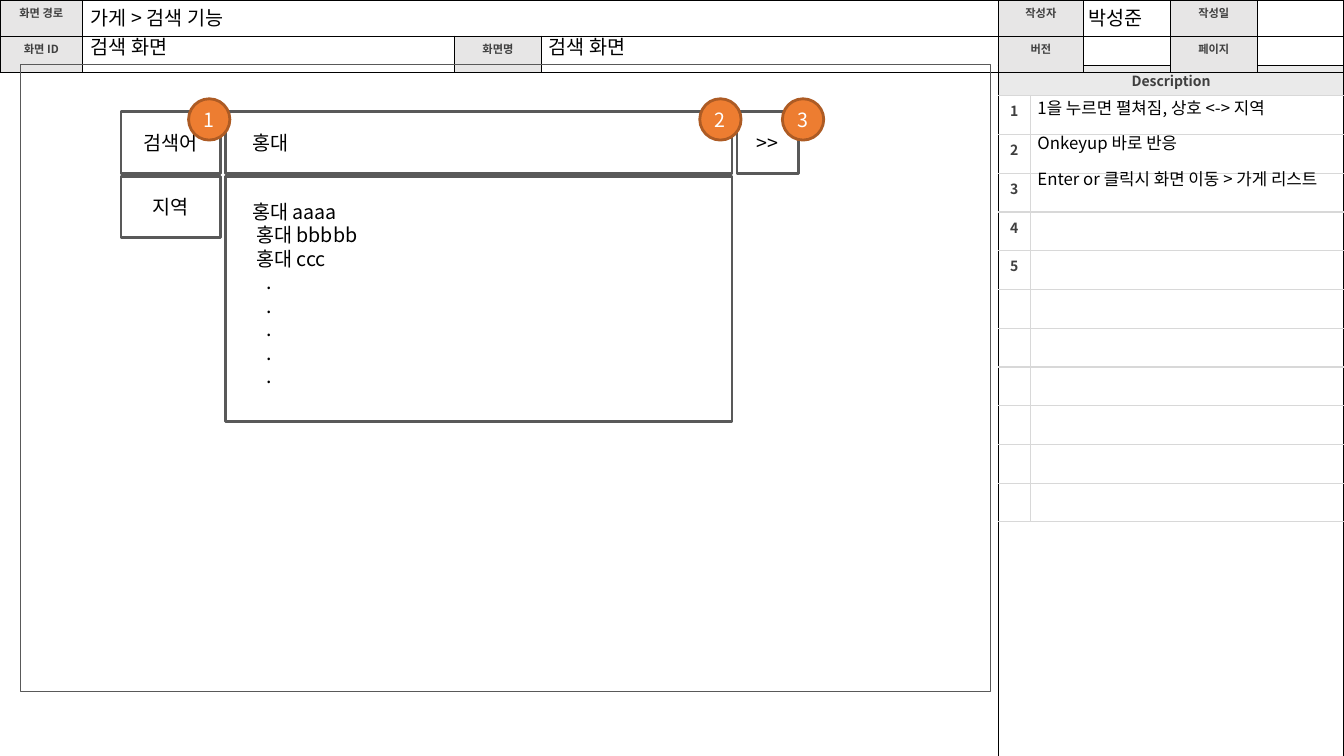
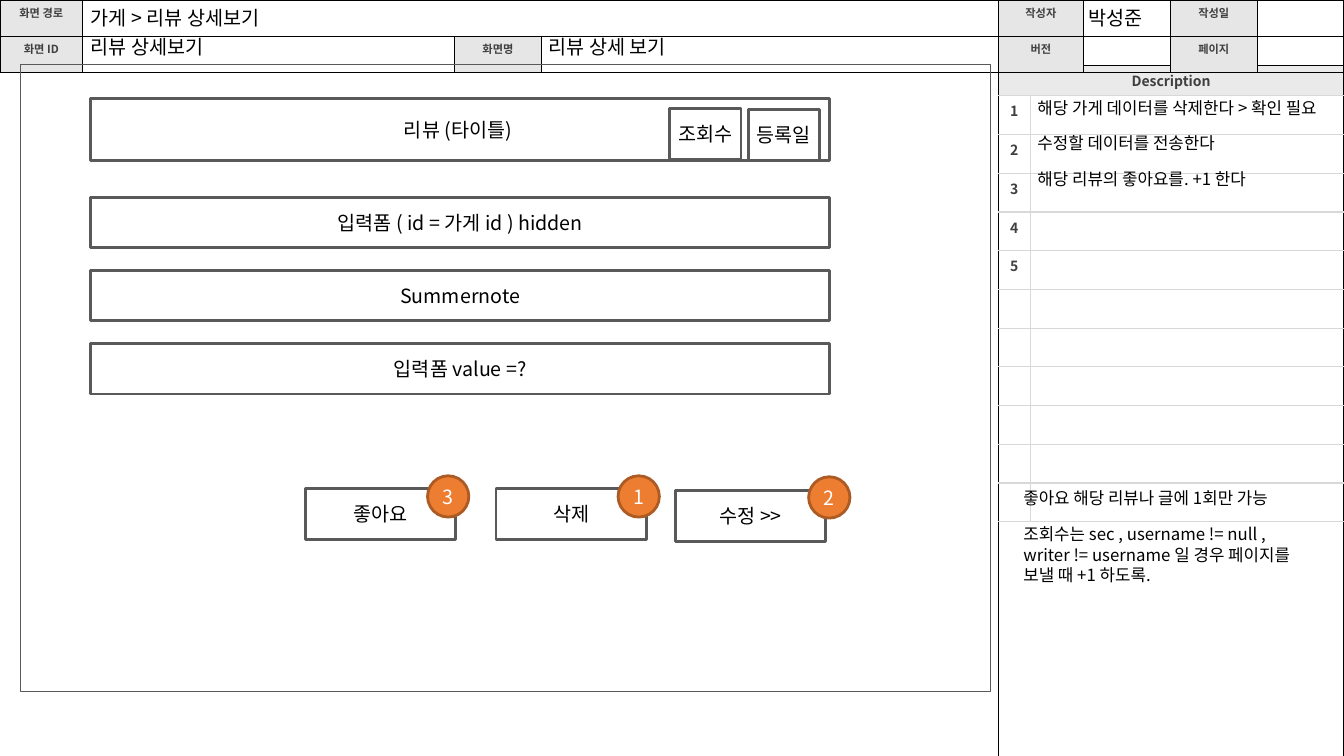
"""Build two storyboard slides: a search screen and a review detail screen."""
import pptx
import pptx.dml.color
import pptx.enum.shapes
import pptx.enum.text
import pptx.oxml
import pptx.oxml.ns
import pptx.util
from pptx.util import Inches

FONT = "Noto Sans CJK KR"
COLORS = {
    "text": "000000", "label": "3F3F3F", "border": "000000", "grid": "D8D8D8",
    "label_fill": "E7E6E6", "description_fill": "EAEAEA", "outline": "595959",
    "box": "FFFFFF", "badge": "ED7D31", "badge_line": "AD5B24", "badge_text": "FFFFFF",
}
RGB = {name: pptx.dml.color.RGBColor.from_string(value) for name, value in COLORS.items()}
LEFT, CENTER = pptx.enum.text.PP_ALIGN.LEFT, pptx.enum.text.PP_ALIGN.CENTER
TOP, MIDDLE = pptx.enum.text.MSO_ANCHOR.TOP, pptx.enum.text.MSO_ANCHOR.MIDDLE
RECTANGLE = pptx.enum.shapes.MSO_SHAPE.RECTANGLE
OVAL = pptx.enum.shapes.MSO_SHAPE.OVAL


def write_text(frame, lines, size, color, align=LEFT, anchor=TOP, bold=False, indents=(0,)):
    """Fill a text frame with one paragraph per line."""
    frame.vertical_anchor = anchor
    for index, line in enumerate(lines):
        paragraph = frame.add_paragraph() if index else frame.paragraphs[0]
        paragraph.alignment = align
        if indents[index % len(indents)]:
            paragraph._p.get_or_add_pPr().set("marL", str(Inches(indents[index])))
        run = paragraph.add_run()
        run.text = line
        run.font.size = pptx.util.Pt(size)
        run.font.bold = bold
        run.font.name = FONT
        run.font.color.rgb = RGB[color]
        east_asian = pptx.oxml.parse_xml(
            f'<a:ea {pptx.oxml.ns.nsdecls("a")} typeface="{FONT}"/>')
        run._r.get_or_add_rPr().append(east_asian)


def add_block(slide, kind, left, top, width, height, fill=None, line="outline", weight=2):
    """Add a preset shape, or a text box when kind is None, without insets."""
    bounds = [Inches(value) for value in (left, top, width, height)]
    if kind is None:
        shape = slide.shapes.add_textbox(*bounds)
    else:
        shape = slide.shapes.add_shape(kind, *bounds)
        shape.shadow.inherit = False
        shape.line.color.rgb = RGB[line]
        shape.line.width = pptx.util.Pt(weight)
        if fill:
            shape.fill.solid()
            shape.fill.fore_color.rgb = RGB[fill]
        else:
            shape.fill.background()
    frame = shape.text_frame
    frame.margin_left = frame.margin_right = frame.margin_top = frame.margin_bottom = 0
    frame.word_wrap = True
    return shape


TABLES = [
    {
        "left": 9.9, "top": 0.65, "columns": [0.32, 3.11],
        "rows": [0.3] + [4.23 / 11] * 11 + [2.35],
        "merges": [((0, 0), (0, 1)), ((12, 0), (12, 1))],
        "labels": {(0, 0): "Description", **{(row, 0): str(row) for row in range(1, 6)}},
        "fills": {(0, 0): "description_fill"},
        "size": 10, "margin": 0.05, "grid": "grid",
    },
    {
        "left": 0, "top": 0, "columns": [0.82, 3.69, 0.86, 4.53, 0.85, 0.86, 0.86, 0.86],
        "rows": [0.36, 0.36],
        "merges": [((0, 1), (0, 3))],
        "labels": {(0, 0): "화면 경로", (0, 4): "작성자", (0, 6): "작성일", (1, 0): "화면 ID",
                   (1, 2): "화면명", (1, 4): "버전", (1, 6): "페이지"},
        "fills": {(row, column): "label_fill" for row in (0, 1) for column in (0, 2, 4, 6)
                  if (row, column) != (0, 2)},
        "size": 8, "margin": 0.04, "grid": "border",
    },
]

SLIDES = [
    {
        "header": ["가게 > 검색 기능", "검색 화면", "검색 화면"],
        "boxes": [
            (2.24, 1.11, 5.02, 0.61, "홍대", LEFT),
            (1.2, 1.11, 0.99, 0.61, "검색어", CENTER),
            (1.2, 1.75, 0.99, 0.61, "지역", CENTER),
            (7.31, 1.11, 0.61, 0.61, ">>", CENTER),
        ],
        "results": ["홍대 aaaa", "홍대 bbbbb", "홍대 ccc"] + ["."] * 5,
        "badges": [(1.87, 0.98, "1"), (6.94, 0.98, "2"), (7.76, 0.98, "3")],
        "descriptions": ["1을 누르면 펼쳐짐, 상호 <-> 지역", "Onkeyup 바로 반응",
                         "Enter or 클릭시 화면 이동 > 가게 리스트"],
        "remarks": [],
    },
    {
        "header": ["가게 > 리뷰 상세보기", "리뷰 상세보기", "리뷰 상세 보기"],
        "boxes": [
            (0.9, 0.98, 7.33, 0.61, "리뷰 (타이틀) ", CENTER),
            (0.9, 1.96, 7.33, 0.5, "입력폼 ( id = 가게 id ) hidden", CENTER),
            (0.9, 2.68, 7.33, 0.5, "Summernote", CENTER),
            (0.9, 3.41, 7.33, 0.5, "입력폼 value =?", CENTER),
            (6.7, 4.87, 1.49, 0.5, "수정 >>", CENTER),
            (4.92, 4.85, 1.49, 0.5, "삭제", CENTER),
            (3.03, 4.85, 1.49, 0.5, "좋아요", CENTER),
            (6.64, 1.08, 0.71, 0.5, "조회수", CENTER),
            (7.42, 1.09, 0.71, 0.5, "등록일", CENTER),
        ],
        "results": [],
        "badges": [(8.02, 4.73, "2"), (6.13, 4.72, "1"), (4.24, 4.72, "3")],
        "descriptions": ["해당 가게 데이터를 삭제한다 > 확인 필요", "수정할 데이터를 전송한다",
                         "해당 리뷰의 좋아요를. +1 한다"],
        "remarks": [
            (4.84, 0.19, ["좋아요 해당 리뷰나 글에 1회만 가능"]),
            (5.2, 0.58, ["조회수는 sec , username != null ,",
                         "writer != username 일 경우 페이지를 보낼 때 +1 하도록."]),
        ],
    },
]

presentation = pptx.Presentation()
presentation.slide_width = Inches(13.33)
presentation.slide_height = Inches(7.5)

for content in SLIDES:
    slide = presentation.slides.add_slide(presentation.slide_layouts[6])

    for design in TABLES:
        rows, columns = design["rows"], design["columns"]
        table = slide.shapes.add_table(
            len(rows), len(columns), Inches(design["left"]), Inches(design["top"]),
            Inches(sum(columns)), Inches(sum(rows))).table
        table.first_row = table.horz_banding = False
        for index, height in enumerate(rows):
            table.rows[index].height = Inches(height)
        for index, width in enumerate(columns):
            table.columns[index].width = Inches(width)
        for first, last in design["merges"]:
            table.cell(*first).merge(table.cell(*last))
        for row in range(len(rows)):
            for column in range(len(columns)):
                cell = table.cell(row, column)
                margin = Inches(design["margin"])
                cell.margin_left = cell.margin_right = margin
                cell.margin_top = cell.margin_bottom = margin
                last_column = column + (cell.span_width if cell.is_merge_origin else 1)
                outer = {"L": column == 0, "R": last_column == len(columns),
                         "T": row == 0, "B": row == len(rows) - 1}
                for side, is_outer in outer.items():
                    color = COLORS["border" if is_outer else design["grid"]]
                    cell._tc.get_or_add_tcPr().append(pptx.oxml.parse_xml(
                        f'<a:ln{side} {pptx.oxml.ns.nsdecls("a")} w="12700"><a:solidFill>'
                        f'<a:srgbClr val="{color}"/></a:solidFill></a:ln{side}>'))
                if (row, column) in design["fills"]:
                    cell.fill.solid()
                    cell.fill.fore_color.rgb = RGB[design["fills"][row, column]]
                else:
                    cell.fill.background()
                if (row, column) in design["labels"]:
                    label = design["labels"][row, column]
                    anchor = MIDDLE if label == "Description" else TOP
                    write_text(cell.text_frame, [label], design["size"], "label",
                               CENTER, anchor, bold=True)
                    cell.vertical_anchor = anchor
                else:
                    paragraph = cell.text_frame.paragraphs[0]
                    paragraph._p.get_or_add_endParaRPr().set("sz", "800")

    add_block(slide, RECTANGLE, 0.2, 0.64, 9.62, 6.22, weight=0.75)

    if content["results"]:
        result_list = add_block(slide, RECTANGLE, 2.24, 1.75, 5.02, 2.43, "box")
        result_list.text_frame.margin_top = Inches(0.23)
        write_text(result_list.text_frame, content["results"], 14, "text",
                   indents=[0.26, 0.3, 0.3] + [0.4] * 5)

    for left, top, width, height, label, align in content["boxes"]:
        box = add_block(slide, RECTANGLE, left, top, width, height, "box")
        write_text(box.text_frame, [label], 14, "text", align, MIDDLE,
                   indents=[0.26 if align == LEFT else 0])

    for left, top, number in content["badges"]:
        badge = add_block(slide, OVAL, left, top, 0.41, 0.41, "badge", "badge_line")
        write_text(badge.text_frame, [number], 14, "badge_text", CENTER, MIDDLE)

    header_places = [(0.9, 0.06, 1.8), (0.9, 0.35, 1.2), (5.44, 0.35, 1.22), (10.8, 0.06, 0.56)]
    for (left, top, width), label in zip(header_places, content["header"] + ["박성준"]):
        heading = add_block(slide, None, left, top, width, 0.22)
        heading.text_frame.word_wrap = False
        write_text(heading.text_frame, [label], 14, "text")

    notes = [(10.29, 0.97 + 0.35 * index, 0.19, [line])
             for index, line in enumerate(content["descriptions"])]
    notes += [(10.15, *remark) for remark in content["remarks"]]
    for left, top, height, lines in notes:
        note = add_block(slide, None, left, top, 2.93, height)
        write_text(note.text_frame, lines, 12, "text")

presentation.save("out.pptx")
